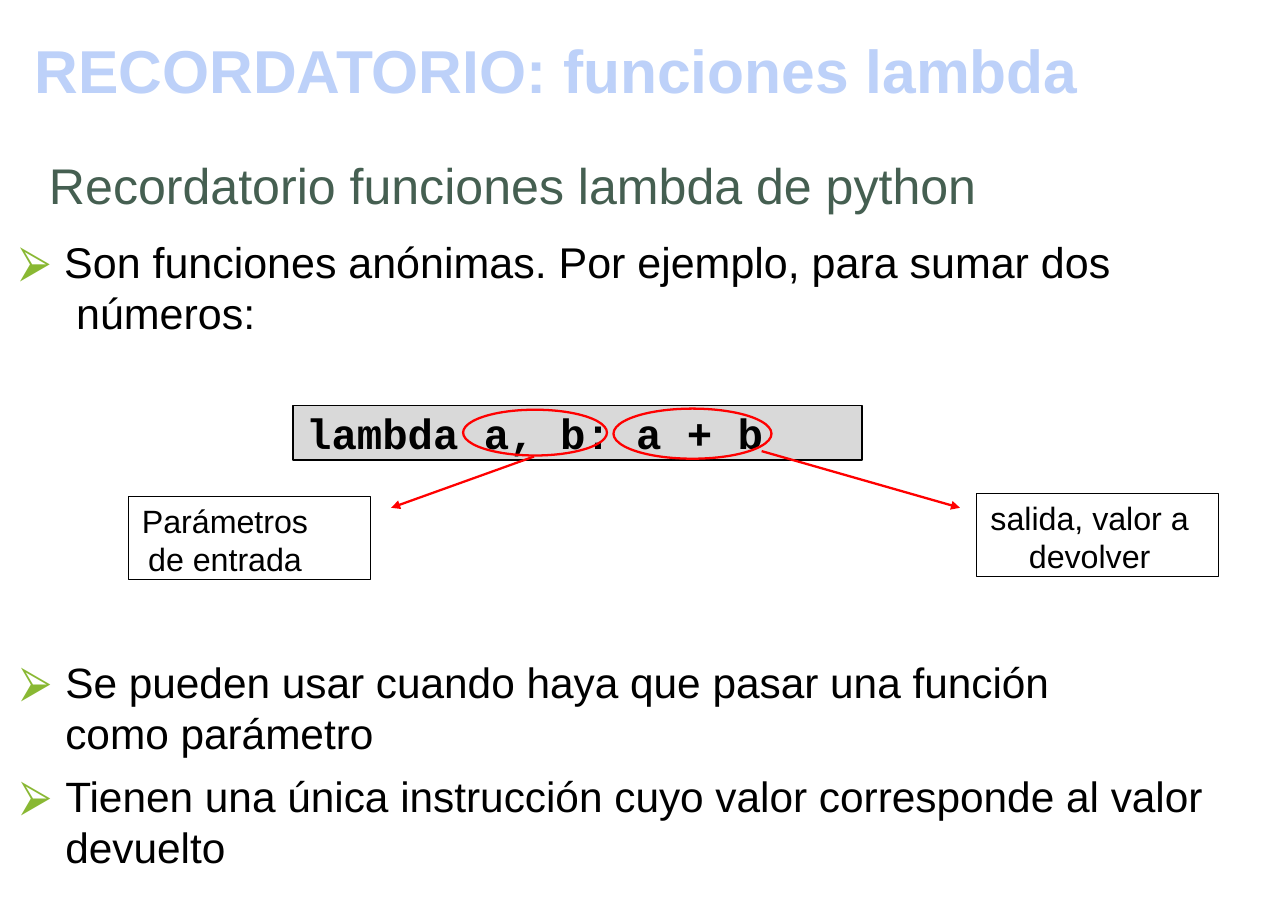
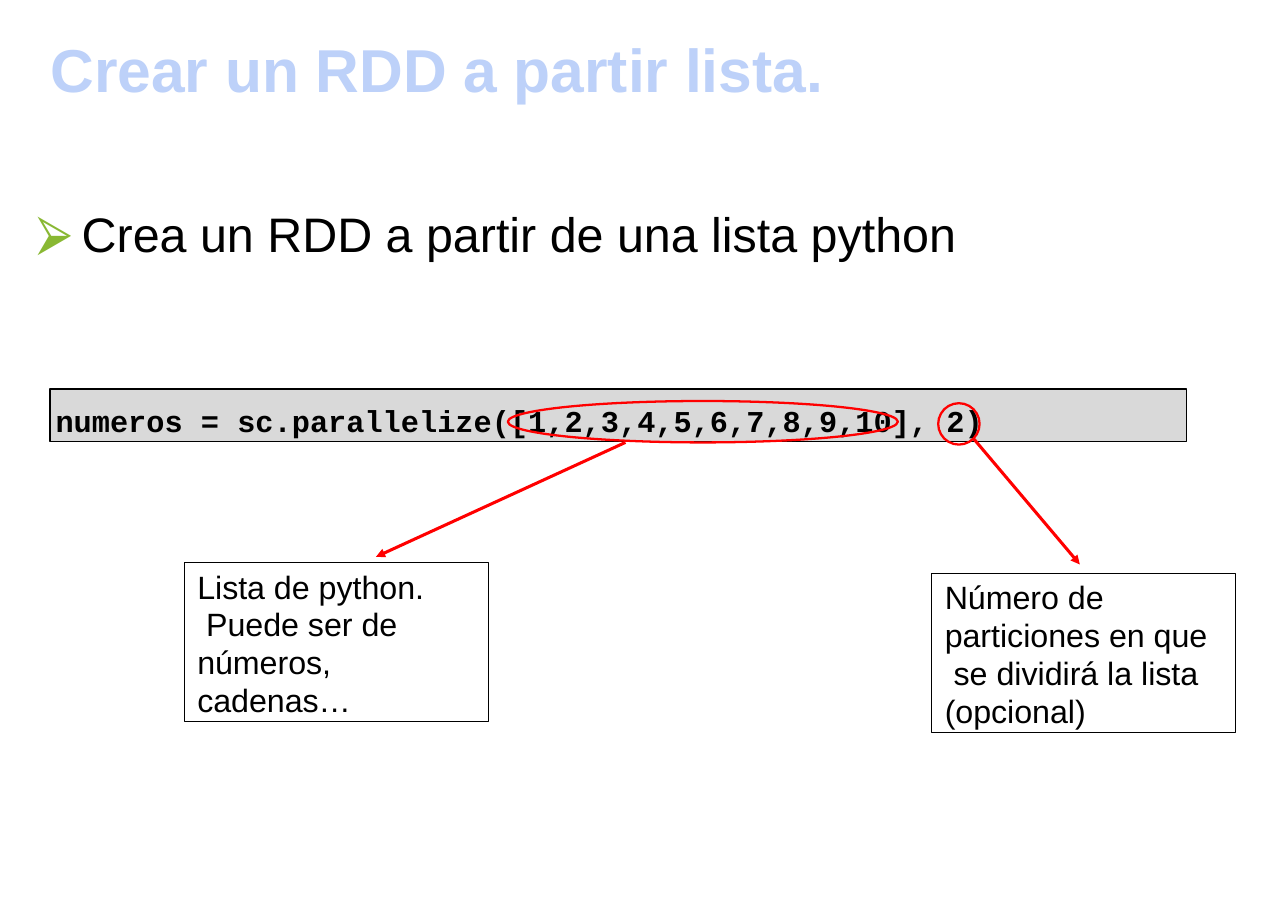
from lxml import etree
from pptx import Presentation
from pptx.dml.color import RGBColor
from pptx.enum.shapes import MSO_CONNECTOR as Connector, MSO_SHAPE as Preset
from pptx.enum.text import MSO_ANCHOR as Anchor, MSO_AUTO_SIZE as AutoSize, PP_ALIGN as Align
from pptx.oxml.ns import qn
from pptx.util import Inches, Pt

COLUMNS, ROWS = 118.2, 84.7
CELL = Inches(0.1)
COLORS = {
    "title": "BDD1F9",
    "subtitle": "455F51",
    "text": "000000",
    "bullet": "89B833",
    "code": "D9D9D9",
    "mark": "FF0000",
}
BODY_FONT, CODE_FONT = "Arial", "Courier New"


def cells(*lengths):
    return [round(length * CELL) for length in lengths]


def color(name):
    return RGBColor.from_string(COLORS[name])


class Deck:
    """Holds the style and the slide being built; lengths are grid cells."""

    def __init__(self):
        self.presentation = Presentation()
        size = cells(COLUMNS, ROWS)
        self.presentation.slide_width, self.presentation.slide_height = size
        self.slide = None

    def add_slide(self):
        layout = self.presentation.slide_layouts[6]
        self.slide = self.presentation.slides.add_slide(layout)

    def set_text(self, shape, paragraphs, size, insets, name="text", font=BODY_FONT,
                 bold=False, align=Align.LEFT, line_spacing=None, bulleted=False):
        """Fill a shape with text; insets run left, top, right."""
        frame = shape.text_frame
        frame.word_wrap = True
        frame.auto_size = AutoSize.NONE
        frame.vertical_anchor = Anchor.TOP
        frame.margin_left, frame.margin_top, frame.margin_right = cells(*insets)
        frame.margin_bottom = 0
        for index, text in enumerate(paragraphs):
            paragraph = frame.add_paragraph() if index else frame.paragraphs[0]
            paragraph.text = text
            paragraph.alignment = align
            if line_spacing:
                paragraph.line_spacing = line_spacing
            if index:
                paragraph.space_before = Pt(8.3)
            if bulleted:
                self.add_bullet(paragraph)
            paragraph.font.name = font
            paragraph.font.size = Pt(size)
            paragraph.font.bold = bold
            paragraph.font.color.rgb = color(name)

    def add_bullet(self, paragraph):
        properties = paragraph._p.get_or_add_pPr()
        margin, indent = cells(4.3, -4.1)
        properties.set("marL", str(margin))
        properties.set("indent", str(indent))
        bullet_color = etree.SubElement(properties, qn("a:buClr"))
        etree.SubElement(bullet_color, qn("a:srgbClr"), val=COLORS["bullet"])
        etree.SubElement(properties, qn("a:buFont"), typeface=BODY_FONT)
        etree.SubElement(properties, qn("a:buChar"), char="⮚")

    def text_box(self, place, paragraphs, size, insets=(0, 0.2, 0), **style):
        box = self.slide.shapes.add_textbox(*cells(*place))
        self.set_text(box, paragraphs, size, insets, **style)

    def title(self, place, text):
        self.text_box(place, [text], 40, (1, 0.5, 1), name="title", bold=True,
                      align=Align.CENTER)

    def bullets(self, place, paragraphs, size):
        self.text_box(place, paragraphs, size, bulleted=True)

    def outline(self, preset, place, line, width, fill=None):
        shape = self.slide.shapes.add_shape(preset, *cells(*place))
        shape.shadow.inherit = False
        shape.line.color.rgb = color(line)
        shape.line.width = Pt(width)
        if fill:
            shape.fill.solid()
            shape.fill.fore_color.rgb = color(fill)
        else:
            shape.fill.background()
        return shape

    def code(self, place, text, size, insets):
        box = self.outline(Preset.RECTANGLE, place, "text", 1, "code")
        self.set_text(box, [text], size, insets, font=CODE_FONT, bold=True)

    def label(self, place, text, insets=(1.2, 0.6, 0), align=Align.LEFT):
        box = self.outline(Preset.RECTANGLE, place, "text", 0.75)
        self.set_text(box, [text], 21.3, insets, align=align, line_spacing=0.98)

    def ring(self, *place):
        self.outline(Preset.OVAL, place, "mark", 1.5)

    def arrow(self, start, end, width):
        connector = self.slide.shapes.add_connector(
            Connector.STRAIGHT, *cells(*start, *end))
        connector.line.color.rgb = color("mark")
        connector.line.width = Pt(width)
        line = connector.line._get_or_add_ln()
        etree.SubElement(line, qn("a:tailEnd"), type="triangle", w="med", len="med")
        etree.SubElement(connector._element.spPr, qn("a:effectLst"))


def lambda_slide(deck):
    deck.add_slide()
    deck.title((2, 2.5, 98.1, 7.7), "RECORDATORIO: funciones lambda")
    deck.text_box((4.3, 14, 90, 5.7), ["Recordatorio funciones lambda de python"],
                  33.1, (0.2, 0.2, 0), name="subtitle")
    deck.bullets((1.6, 21.4, 104, 9.7),
                 ["Son funciones anónimas. Por ejemplo, para sumar dos\v números:"], 28.4)
    deck.bullets((1.7, 60, 112, 20.1), [
        "Se pueden usar cuando haya que pasar una función\vcomo parámetro",
        "Tienen una única instrucción cuyo valor corresponde al valor\vdevuelto",
    ], 28)
    deck.code((26.9, 37.2, 52.2, 5), "lambda a, b: a + b", 28, (1.2, 0.2, 0))
    deck.label((11.8, 45.6, 22.2, 7.6), "Parámetros\vde entrada", (0, 0.6, 4.5),
               Align.CENTER)
    deck.label((89.6, 45.3, 22.2, 7.6), "salida, valor a\vdevolver", (0, 0.6, 1.4),
               Align.CENTER)
    deck.ring(42.5, 37.6, 13.2, 4.2)
    deck.ring(56.3, 37.5, 14.5, 4.6)
    deck.arrow((49, 41.9), (35.9, 46.6), 1.5)
    deck.arrow((69.9, 41.4), (88.1, 46.6), 1.5)


def list_slide(deck):
    deck.add_slide()
    deck.title((0.1, 2.4, 80, 7.7), "Crear un RDD a partir lista.")
    deck.bullets((3.2, 18.5, 95, 5.6), ["Crea un RDD a partir de una lista python"], 32)
    deck.code((4.6, 35.7, 104.3, 4.8),
              "numeros = sc.parallelize([1,2,3,4,5,6,7,8,9,10], 2)", 20, (0.5, 1.2, 0))
    deck.label((16.9, 51.6, 27.9, 14.6),
               "Lista de python.\v Puede ser de\vnúmeros,\vcadenas…")
    deck.label((85.5, 52.6, 27.9, 14.6),
               "Número de\vparticiones en que\v se dividirá la lista\v(opcional)")
    deck.ring(46.6, 36.8, 35.8, 3.8)
    deck.ring(86.1, 37, 3.8, 3.8)
    deck.arrow((57.4, 40.6), (34.5, 51.1), 2)
    deck.arrow((89.3, 40.2), (99.1, 51.8), 2)


def main():
    deck = Deck()
    lambda_slide(deck)
    list_slide(deck)
    deck.presentation.save("out.pptx")


if __name__ == "__main__":
    main()
